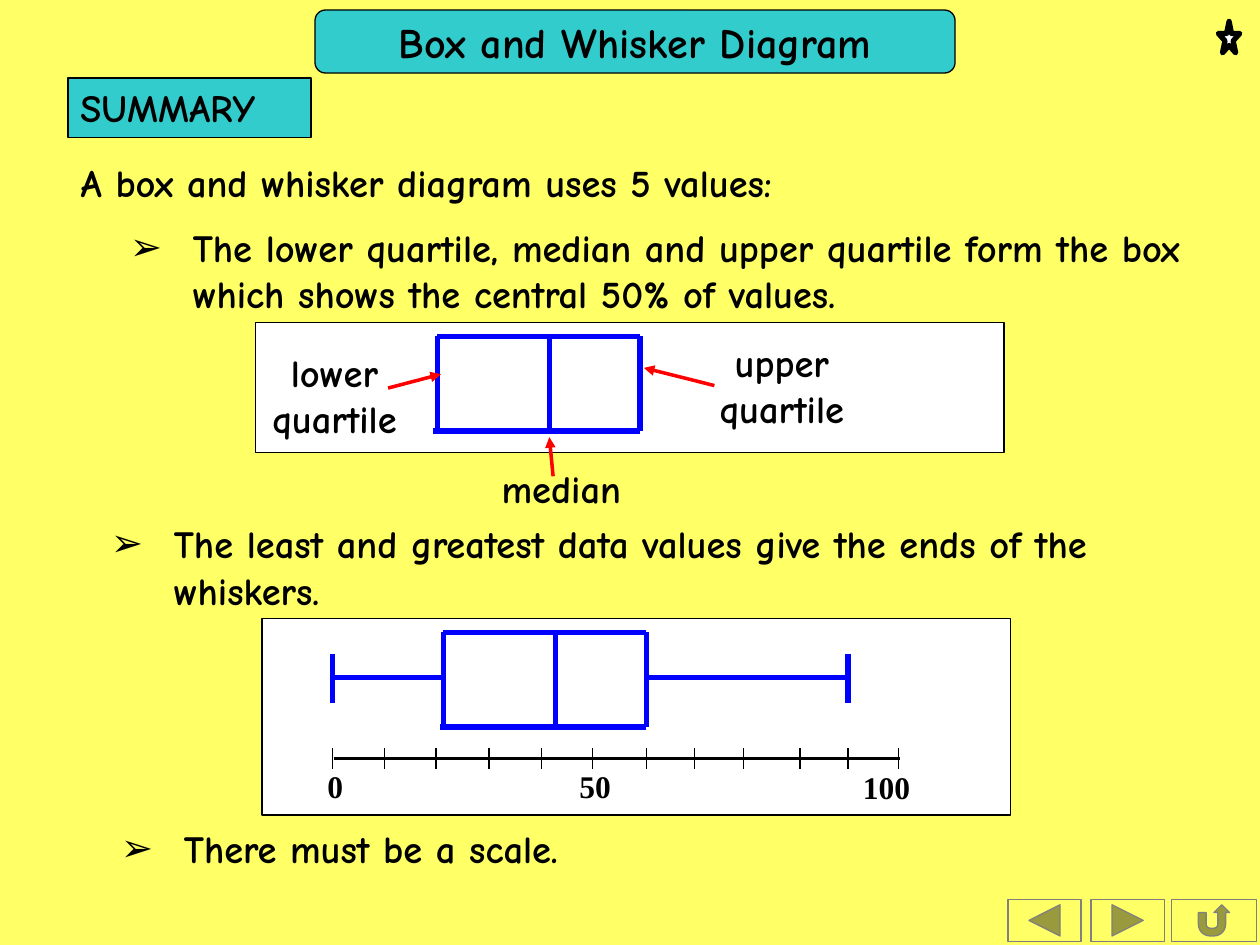
import pptx
import pptx.dml.color
import pptx.enum.shapes
import pptx.enum.text
import pptx.oxml.ns
import pptx.util
from lxml import etree

Inches = pptx.util.Inches
Pt = pptx.util.Pt
SHAPE = pptx.enum.shapes.MSO_SHAPE
ALIGN = pptx.enum.text.PP_ALIGN
ANCHOR = pptx.enum.text.MSO_ANCHOR

THEME = {
    "background": "FFFF66", "banner": "33CCCC", "panel": "FFFFFF", "ink": "000000",
    "plot": "0000FF", "arrow": "FF0000", "button_line": "808080",
    "font": "Comic Neue", "scale_font": "Times New Roman",
    "title_size": 24, "body_size": 22, "scale_size": 18,
    "thin": 0.75, "medium": 2, "thick": 3,
}

# Boxes are (left, top, width, height) in inches.
TITLE = ("Box and Whisker Diagram", (2.33, 0.08, 5.42, 0.5))
TITLE_PANEL = (2.5, 0.08, 5.08, 0.5)
SUMMARY = ("SUMMARY", (0.54, 0.62, 1.93, 0.47))
BODY = [  # text, box, bulleted
    ("A box and whisker diagram uses 5 values:", (0.54, 1.21, 6.6, 0.47), False),
    ("The lower quartile, median and upper quartile form the box which shows "
     "the central 50% of values.", (0.93, 1.73, 8.6, 0.84), True),
    ("The least and greatest data values give the ends of the whiskers.",
     (0.78, 4.08, 8.42, 0.84), True),
    ("There must be a scale.", (0.86, 6.5, 4.28, 0.47), True),
]
BOX_PANEL = (2.03, 2.56, 5.94, 1.03)
WHISKER_PANEL = (2.08, 4.91, 5.94, 1.56)
BOX_LABELS = [
    ("median", (3.69, 3.64, 1.53, 0.47)),
    ("lower quartile", (1.89, 2.72, 1.53, 0.84)),
    ("upper quartile", (5.44, 2.64, 1.53, 0.84)),
]
BOX_ARROWS = [
    ((3.08, 3.08), (3.5, 2.97)),
    ((4.39, 3.78), (4.36, 3.47)),
    ((5.67, 3.06), (5.11, 2.92)),
]
QUARTILE_OFFSETS = (1.44, 2.33, 3.05)  # lower, median, upper, from panel left
BOX_TOP, BOX_HEIGHT = 0.11, 0.75
WHISKERS = [  # quartile edge, whisker end, end cap
    (3.53, 2.64, 2.64),
    (5.14, 6.75, 6.73),
]
WHISKER_Y, CAP_TOP, CAP_BOTTOM = 5.38, 5.19, 5.58
SCALE_Y, SCALE_START, SCALE_END = 6.02, 2.65, 7.14
TICKS = [2.64, 3.05, 3.46, 3.88, 4.3, 4.7, 5.13, 5.51, 5.9, 6.35, 6.73, 7.13]
SCALE_LABELS = [
    ("0", (2.5, 6.04, 0.37, 0.4)),
    ("50", (4.5, 6.04, 0.52, 0.4)),
    ("100", (6.75, 6.05, 0.68, 0.4)),
]
BUTTONS = [
    (SHAPE.ACTION_BUTTON_BACK_OR_PREVIOUS, (8, 7.14, 0.58, 0.33)),
    (SHAPE.ACTION_BUTTON_FORWARD_OR_NEXT, (8.66, 7.14, 0.58, 0.33)),
    (SHAPE.ACTION_BUTTON_RETURN, (9.3, 7.14, 0.67, 0.33)),
]
STAR = (9.67, 0.17, 0.17, 0.25)


def color(name):
    return pptx.dml.color.RGBColor.from_string(THEME[name])


def place(shape, box):
    shape.left, shape.top, shape.width, shape.height = map(Inches, box)


def add_child(parent, tag, **attributes):
    return etree.SubElement(parent, pptx.oxml.ns.qn(tag), attributes)


def add_bullet(paragraph):
    properties = paragraph._p.get_or_add_pPr()
    bullet_color = add_child(properties, "a:buClr")
    add_child(bullet_color, "a:srgbClr", val=THEME["ink"])
    add_child(properties, "a:buChar", char="➢")


def write(shape, text, size="body_size", font="font", align=ALIGN.LEFT,
          anchor=ANCHOR.TOP, bulleted=False):
    frame = shape.text_frame
    frame.word_wrap = True
    frame.auto_size = pptx.enum.text.MSO_AUTO_SIZE.NONE
    frame.vertical_anchor = anchor
    frame.margin_left = frame.margin_right = Inches(0.1)
    frame.margin_top = frame.margin_bottom = Inches(0.05)
    paragraph = frame.paragraphs[0]
    paragraph.alignment = align
    paragraph.space_before = Pt(0)
    indent = Inches(0.5) if bulleted else 0
    properties = paragraph._p.get_or_add_pPr()
    properties.set("marL", str(indent))
    properties.set("indent", str(-indent))
    if bulleted:
        add_bullet(paragraph)
    else:
        add_child(properties, "a:buNone")
    run = paragraph.add_run()
    run.text = text
    run.font.name = THEME[font]
    run.font.size = Pt(THEME[size])
    run.font.bold = True
    run.font.color.rgb = color("ink")


def add_label(slide, text, box, **text_format):
    label = slide.shapes.add_textbox(*map(Inches, box))
    write(label, text, **text_format)


def add_filled(slide, kind, box, fill="panel", line="ink", width="thin"):
    shape = slide.shapes.add_shape(kind, *map(Inches, box))
    shape.shadow.inherit = False
    shape.fill.solid()
    shape.fill.fore_color.rgb = color(fill)
    shape.line.color.rgb = color(line)
    shape.line.width = Pt(THEME[width])
    return shape


def add_line(slide, start, end, line="plot", width="thick", arrow=False):
    connector = slide.shapes.add_connector(
        pptx.enum.shapes.MSO_CONNECTOR.STRAIGHT, *map(Inches, (*start, *end)))
    connector.line.color.rgb = color(line)
    connector.line.width = Pt(THEME[width])
    if arrow:
        add_child(connector.line._get_or_add_ln(), "a:tailEnd", type="triangle")
    add_child(connector._element.spPr, "a:effectLst")


def add_box_plot(slide, panel):
    """Draw a white panel with the quartile box inside it."""
    add_filled(slide, SHAPE.RECTANGLE, panel)
    lower, median, upper = (panel[0] + offset for offset in QUARTILE_OFFSETS)
    top = panel[1] + BOX_TOP
    bottom = top + BOX_HEIGHT
    for x in (median, lower, upper):
        add_line(slide, (x, top), (x, bottom))
    add_line(slide, (lower, top), (upper, top))
    add_line(slide, (lower - 0.03, bottom), (upper, bottom))


def add_scale(slide):
    add_line(slide, (SCALE_START, SCALE_Y), (SCALE_END, SCALE_Y), "ink", "medium")
    for x in TICKS:
        add_line(slide, (x, SCALE_Y - 0.08), (x, SCALE_Y + 0.08), "ink", "thin")
    for text, box in SCALE_LABELS:
        add_label(slide, text, box, size="scale_size", font="scale_font")


def main():
    presentation = pptx.Presentation()
    presentation.slide_width, presentation.slide_height = Inches(10), Inches(7.5)
    comparison_layout = presentation.slide_layouts[4]
    slide = presentation.slides.add_slide(comparison_layout)
    slide.background.fill.solid()
    slide.background.fill.fore_color.rgb = color("background")

    title_panel = add_filled(slide, SHAPE.ROUNDED_RECTANGLE, TITLE_PANEL, "banner")
    title = slide.shapes.title
    title_panel._element.addnext(title._element)  # title text in front of its panel
    place(title, TITLE[1])
    write(title, TITLE[0], size="title_size", align=ALIGN.CENTER, anchor=ANCHOR.MIDDLE)

    summary = add_filled(slide, SHAPE.RECTANGLE, SUMMARY[1], "banner")
    write(summary, SUMMARY[0])
    for index, (text, box, bulleted) in enumerate(BODY, start=1):
        body = slide.placeholders[index]
        place(body, box)
        write(body, text, bulleted=bulleted)

    add_box_plot(slide, BOX_PANEL)
    for text, box in BOX_LABELS:
        add_label(slide, text, box, align=ALIGN.CENTER)
    for start, end in BOX_ARROWS:
        add_line(slide, start, end, "arrow", "medium", arrow=True)

    add_box_plot(slide, WHISKER_PANEL)
    for edge, end, cap in WHISKERS:
        add_line(slide, (edge, WHISKER_Y), (end, WHISKER_Y))
        add_line(slide, (cap, CAP_TOP), (cap, CAP_BOTTOM))
    add_scale(slide)

    for kind, box in BUTTONS:
        add_filled(slide, kind, box, "background", "button_line")
    add_filled(slide, SHAPE.STAR_5_POINT, STAR, width="thick")
    presentation.save("out.pptx")


if __name__ == "__main__":
    main()
